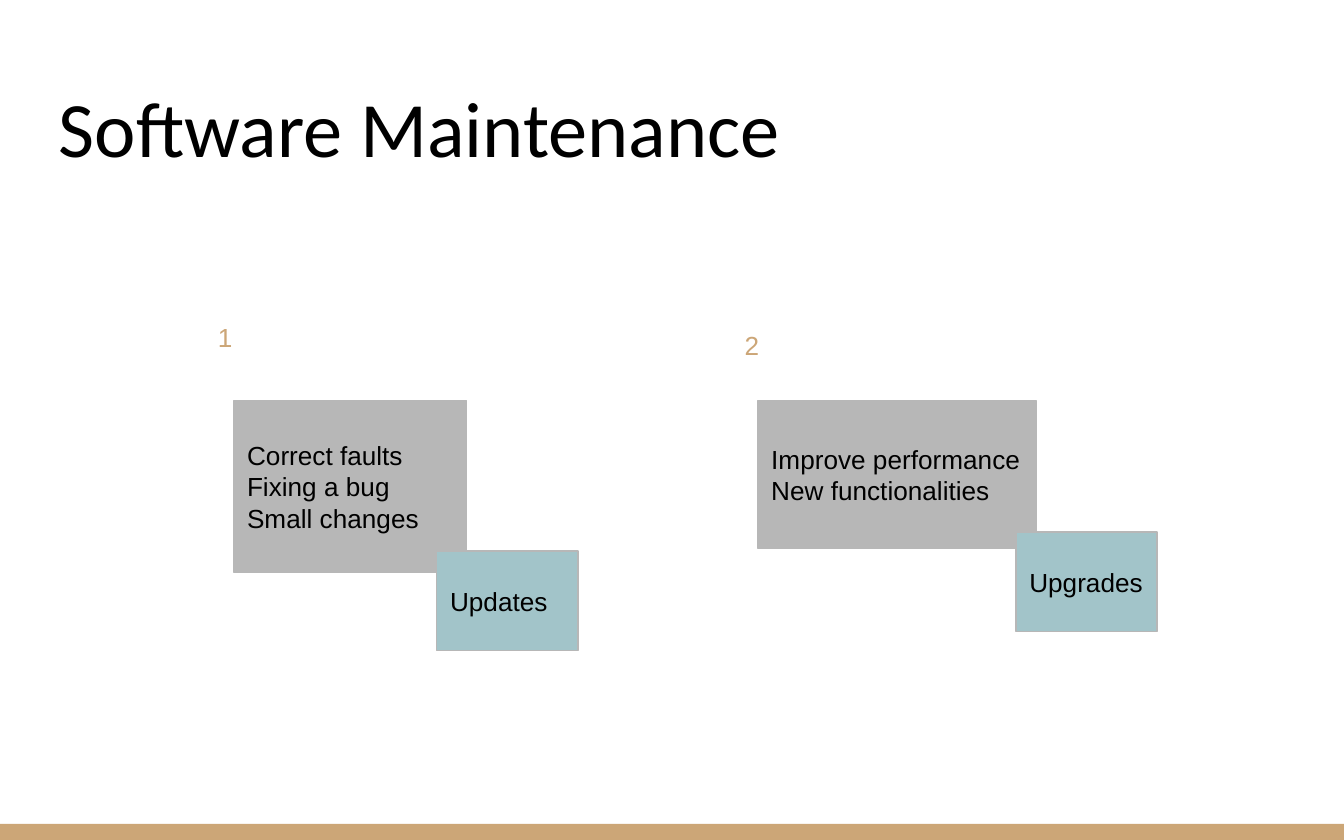
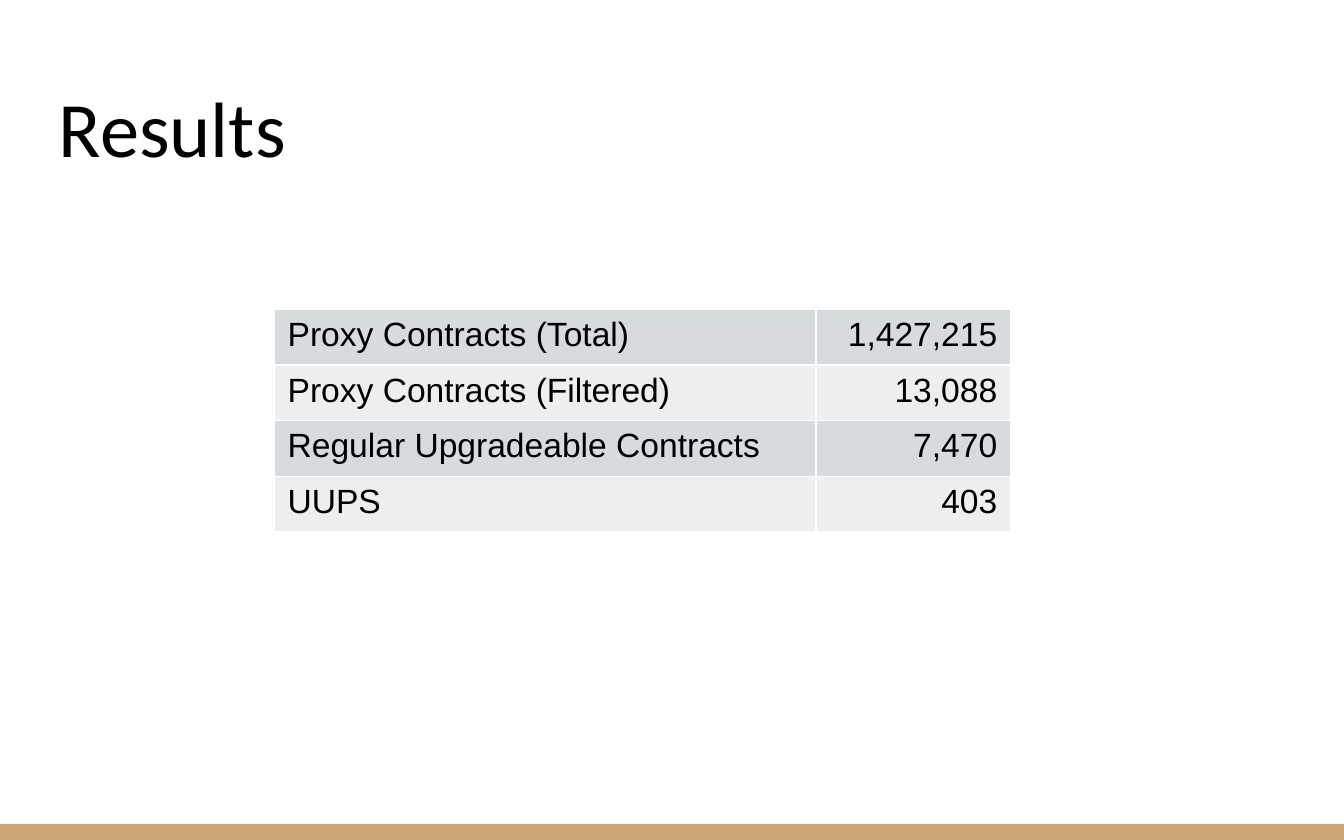
import copy

import pptx
import pptx.dml.color
import pptx.enum.shapes
import pptx.enum.text
import pptx.oxml
import pptx.oxml.ns
import pptx.util

Inches = pptx.util.Inches
Pt = pptx.util.Pt
RGBColor = pptx.dml.color.RGBColor
Align = pptx.enum.text.PP_ALIGN
Anchor = pptx.enum.text.MSO_ANCHOR
RECT = pptx.enum.shapes.MSO_SHAPE.RECTANGLE
qn = pptx.oxml.ns.qn

BLACK = RGBColor(0x00, 0x00, 0x00)
WHITE = RGBColor(0xFF, 0xFF, 0xFF)
GOLD = RGBColor(0xCC, 0xA6, 0x77)
GREY = RGBColor(0xB7, 0xB7, 0xB7)
TEAL = RGBColor(0xA2, 0xC4, 0xC9)
BANDS = (RGBColor(0xD6, 0xDB, 0xDE), RGBColor(0xEC, 0xEE, 0xEF))

WIDTH, HEIGHT = 10, 6.25
TITLE = {"name": "Calibri", "size": Pt(42)}
BODY = {"name": "Arial", "size": Pt(14)}
CELL = {"name": "Arial", "size": Pt(18)}
FRAME = {"word_wrap": True, "vertical_anchor": Anchor.MIDDLE}
FRAME |= {f"margin_{side}": Inches(0.1) for side in ("left", "top", "right", "bottom")}


def apply(item, values):
    """Set each attribute in values on item."""
    for name, value in values.items():
        setattr(item, name, value)


def line_xml(tag, color, width):
    """Return a solid line element for a text outline or a cell border."""
    space = pptx.oxml.ns.nsdecls("a")
    return pptx.oxml.parse_xml(
        f'<a:{tag} {space} w="{Pt(width)}"><a:solidFill>'
        f'<a:srgbClr val="{color}"/></a:solidFill></a:{tag}>')


def write(frame, text, font, color=BLACK, align=Align.LEFT):
    """Fill a text frame, giving its runs and breaks one format."""
    frame.text = text
    for para in frame.paragraphs:
        para.alignment = align
        for run in para.runs:
            apply(run.font, font)
            run.font.color.rgb = color
        for gap in para._p.findall(qn("a:br")):
            gap.append(copy.deepcopy(para.runs[0].font._element))


def add_rect(slide, box, fill, edge=None):
    """Draw a flat rectangle with an optional thin edge."""
    shape = slide.shapes.add_shape(RECT, *map(Inches, box))
    shape.shadow.inherit = False
    shape.fill.solid()
    shape.fill.fore_color.rgb = fill
    if edge is None:
        shape.line.fill.background()
    else:
        shape.line.color.rgb = edge
        shape.line.width = Pt(0.75)
    return shape


def add_base(deck, title):
    """Add a slide with the shared title and bottom band."""
    slide = deck.slides.add_slide(deck.slide_layouts[6])
    slide.background.fill.solid()
    slide.background.fill.fore_color.rgb = WHITE
    add_rect(slide, (0, HEIGHT - 0.12, WIDTH, 0.12), GOLD)
    frame = slide.shapes.add_textbox(*map(Inches, (0.34, 0.38, 9.32, 1.01))).text_frame
    apply(frame, FRAME | {"vertical_anchor": Anchor.BOTTOM})
    write(frame, title, TITLE)
    return slide


def add_label(slide, box, text, fill):
    """Draw a filled box with left-aligned text."""
    frame = add_rect(slide, box, fill, GREY).text_frame
    apply(frame, FRAME)
    write(frame, text, BODY)


def add_mark(slide, box, text):
    """Place an outlined gold number."""
    frame = slide.shapes.add_textbox(*map(Inches, box)).text_frame
    frame.word_wrap = True
    write(frame, text, BODY, GOLD, Align.CENTER)
    font = frame.paragraphs[0].runs[0].font
    font._element.insert(0, line_xml("ln", GREY, 0.75))


def add_card(slide, box, text, tag, lap, mark, spot):
    """Draw a card with a tag over its lower right corner and a number above."""
    left, top, width, height = box
    add_label(slide, box, text, GREY)
    add_mark(slide, (left + spot[0], top + spot[1], *spot[2:]), mark)
    corner = (left + width - lap[0], top + height - lap[1])
    add_label(slide, (*corner, 1.05, 0.74), tag, TEAL)


def add_grid(slide, box, shares, rows):
    """Draw a banded table with white rules and right-aligned values."""
    grid = slide.shapes.add_table(len(rows), len(shares), *map(Inches, box)).table
    apply(grid, {"first_row": False, "horz_banding": False})
    for col, width in zip(grid.columns, shares):
        col.width = Inches(width)
    for i, row in enumerate(rows):
        grid.rows[i].height = Inches(box[3] / len(rows))
        for j, text in enumerate(row):
            cell = grid.cell(i, j)
            write(cell.text_frame, text, CELL, align=Align.RIGHT if j else Align.LEFT)
            for side in "LRTB":
                cell._tc.get_or_add_tcPr().append(line_xml("ln" + side, WHITE, 1))
            cell.fill.solid()
            cell.fill.fore_color.rgb = BANDS[i % 2]


def main():
    """Build and save both slides."""
    deck = pptx.Presentation()
    deck.slide_width, deck.slide_height = Inches(WIDTH), Inches(HEIGHT)

    slide = add_base(deck, "Software Maintenance")
    add_card(slide, (5.64, 2.98, 2.07, 1.1),
             "Improve performance\vNew functionalities", "Upgrades", (0.15, 0.12),
             "2", (-0.32, -0.58, 0.55, 0.78))
    add_card(slide, (1.74, 2.98, 1.73, 1.28),
             "Correct faults\vFixing a bug\nSmall changes", "Updates", (0.22, 0.16),
             "1", (-0.27, -0.64, 0.41, 0.89))

    slide = add_base(deck, "Results")
    add_grid(slide, (2.04, 2.3, 5.48, 1.66), (4.03, 1.45), (
        ("Proxy Contracts (Total)", "1,427,215"),
        ("Proxy Contracts (Filtered)", "13,088"),
        ("Regular Upgradeable Contracts", "7,470"),
        ("UUPS", "403")))
    deck.save("out.pptx")


if __name__ == "__main__":
    main()
